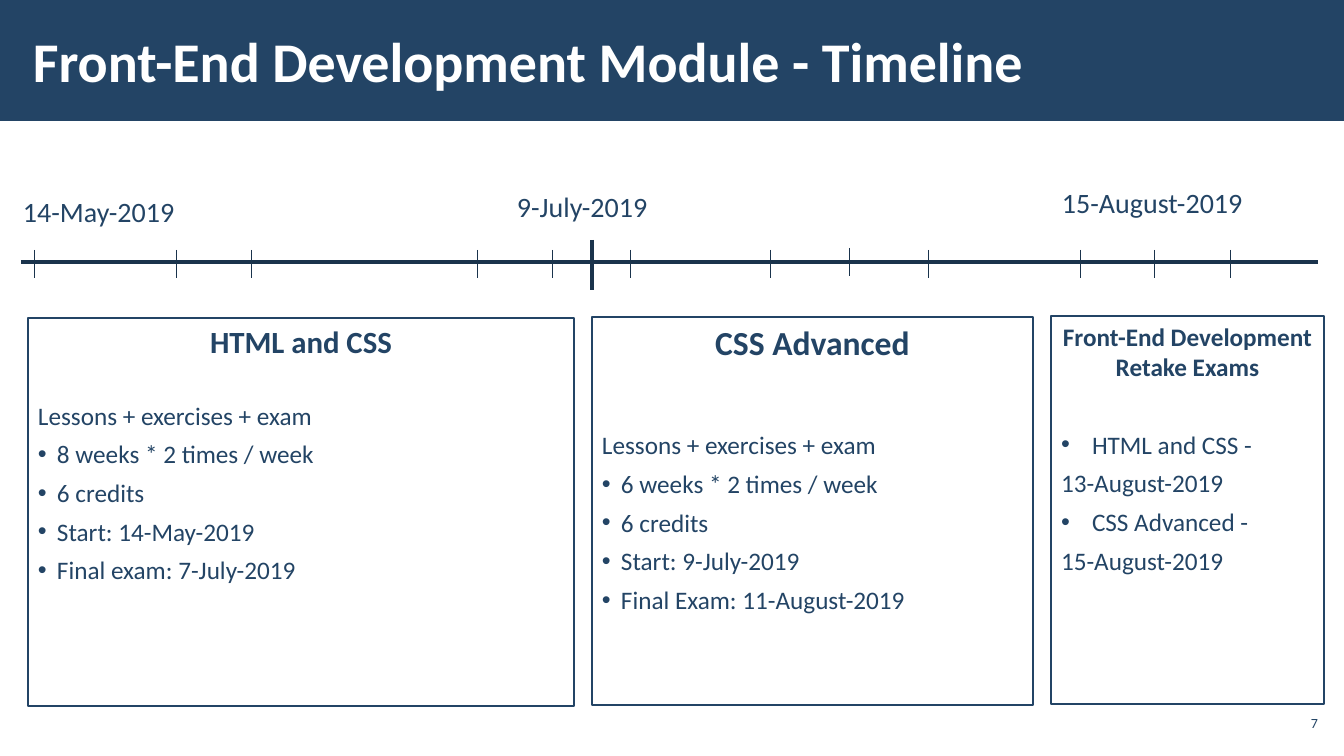
from lxml import etree
from pptx import Presentation
from pptx.dml.color import RGBColor
from pptx.enum.shapes import MSO_CONNECTOR, MSO_SHAPE
from pptx.enum.text import MSO_ANCHOR, PP_ALIGN
from pptx.oxml.ns import qn
from pptx.util import Emu, Pt

RECT, LINE = MSO_SHAPE.RECTANGLE, MSO_CONNECTOR.STRAIGHT
TOP, MIDDLE = MSO_ANCHOR.TOP, MSO_ANCHOR.MIDDLE
LEFT, CENTER, RIGHT = PP_ALIGN.LEFT, PP_ALIGN.CENTER, PP_ALIGN.RIGHT
FONT = "Calibri"
COLORS = {"navy": "234465", "axis": "1A334C", "white": "FFFFFF"}
EMU_PER_PX = 914400 / 100.8

TITLE = "Front-End Development Module - Timeline"
PAGE = "7"

# text, left, top, width
DATES = [
    ("14-May-2019", 13, 189, 172),
    ("9-July-2019", 507, 184, 152),
    ("15-August-2019", 1052, 180, 204),
]

AXIS = (21, 262, 1318, 262)
START = (592, 240, 592, 290)
TICKS = [34, 176, 251, 477, 552, 630, 770, 928, 1080, 1154, 1230]
HIGH_TICK = 849
TICK_TOP, TICK_H = 250, 28

# A line that starts with "•" is a bullet; "gap" is the space under the heading in points.
CARDS = [
    {"box": (28, 318, 546, 388), "head": "HTML and CSS", "size": 22,
     "gap": 22.5, "before": 6, "after": 0, "indent": 19,
     "lines": ["Lessons + exercises + exam", "•8 weeks * 2 times / week", "•6 credits",
               "•Start: 14-May-2019", "•Final exam: 7-July-2019"]},
    {"box": (592, 317, 441, 388), "head": "CSS Advanced", "size": 24,
     "gap": 42, "before": 6, "after": 0, "indent": 19,
     "lines": ["Lessons + exercises + exam", "•6 weeks * 2 times / week", "•6 credits",
               "•Start: 9-July-2019", "•Final Exam: 11-August-2019"]},
    {"box": (1051, 316, 273, 388), "head": "Front-End Development\nRetake Exams", "size": 18,
     "gap": 31, "before": 3, "after": 3, "indent": 31,
     "lines": ["•HTML and CSS -", "13-August-2019", "•CSS Advanced -", "15-August-2019"]},
]


def px(n):
    return Emu(round(n * EMU_PER_PX))


def rgb(name):
    return RGBColor.from_string(COLORS[name])


def write(para, text, size, color="navy", bold=False, align=LEFT):
    """Fill a paragraph, turning each newline into a line break."""
    para.alignment = align
    for i, part in enumerate(text.split("\n")):
        if i:
            para.add_line_break()
        run = para.add_run()
        run.text = part
        font = run.font
        font.name, font.size, font.bold = FONT, Pt(size), bold
        font.color.rgb = rgb(color)


def bullet(para, indent):
    props = para._p.get_or_add_pPr()
    props.set("marL", str(px(indent)))
    props.set("indent", str(-px(indent)))
    etree.SubElement(props, qn("a:buFont"), typeface="Arial")
    etree.SubElement(props, qn("a:buChar"), char="•")


def frame(shape, side=10, edge=5, anchor=TOP, wrap=True):
    """Set the insets of a shape's text and return its text frame."""
    text = shape.text_frame
    text.margin_left = text.margin_right = px(side)
    text.margin_top = text.margin_bottom = px(edge)
    text.vertical_anchor, text.word_wrap = anchor, wrap
    return text


def label(slide, box, text, size, side=10, anchor=TOP, wrap=True, **style):
    shape = slide.shapes.add_textbox(*map(px, box))
    body = frame(shape, side, anchor=anchor, wrap=wrap)
    write(body.paragraphs[0], text, size, **style)


def block(slide, box, fill, width=0):
    """Add a rectangle, with a navy border if a width is given."""
    shape = slide.shapes.add_shape(RECT, *map(px, box))
    shape.shadow.inherit = False
    shape.fill.solid()
    shape.fill.fore_color.rgb = rgb(fill)
    if width:
        shape.line.color.rgb = rgb("navy")
        shape.line.width = Pt(width)
    else:
        shape.line.fill.background()
    return shape


def rule(slide, ends, width):
    line = slide.shapes.add_connector(LINE, *map(px, ends))
    line.line.color.rgb = rgb("axis")
    line.line.width = Pt(width)
    etree.SubElement(line._element.spPr, qn("a:effectLst"))


def card(slide, data):
    body = frame(block(slide, data["box"], "white", 2))
    head = body.paragraphs[0]
    write(head, data["head"], data["size"], bold=True, align=CENTER)
    head.space_after = Pt(data["gap"])
    for line in data["lines"]:
        para = body.add_paragraph()
        para.space_before, para.space_after = Pt(data["before"]), Pt(data["after"])
        if line.startswith("•"):
            bullet(para, data["indent"])
        write(para, line.lstrip("•"), 18)


def main():
    deck = Presentation()
    deck.slide_width, deck.slide_height = px(1344), px(756)
    slide = deck.slides.add_slide(deck.slide_layouts[6])

    block(slide, (0, 0, 1344, 121), "navy")
    label(slide, (21, 11, 1048, 98), TITLE, 40, side=12, anchor=MIDDLE,
          color="white", bold=True)
    label(slide, (1275, 706, 47, 34), PAGE, 10, side=4, anchor=MIDDLE, align=RIGHT)

    rule(slide, AXIS, 2.25)
    rule(slide, START, 2.25)
    ticks = [(x, TICK_TOP) for x in TICKS] + [(HIGH_TICK, TICK_TOP - 2)]
    for x, y in ticks:
        rule(slide, (x, y, x, y + TICK_H), 0.5)

    for text, x, y, w in DATES:
        label(slide, (x, y, w, 44), text, 20, wrap=False)
    for data in CARDS:
        card(slide, data)
    deck.save("out.pptx")


if __name__ == "__main__":
    main()
